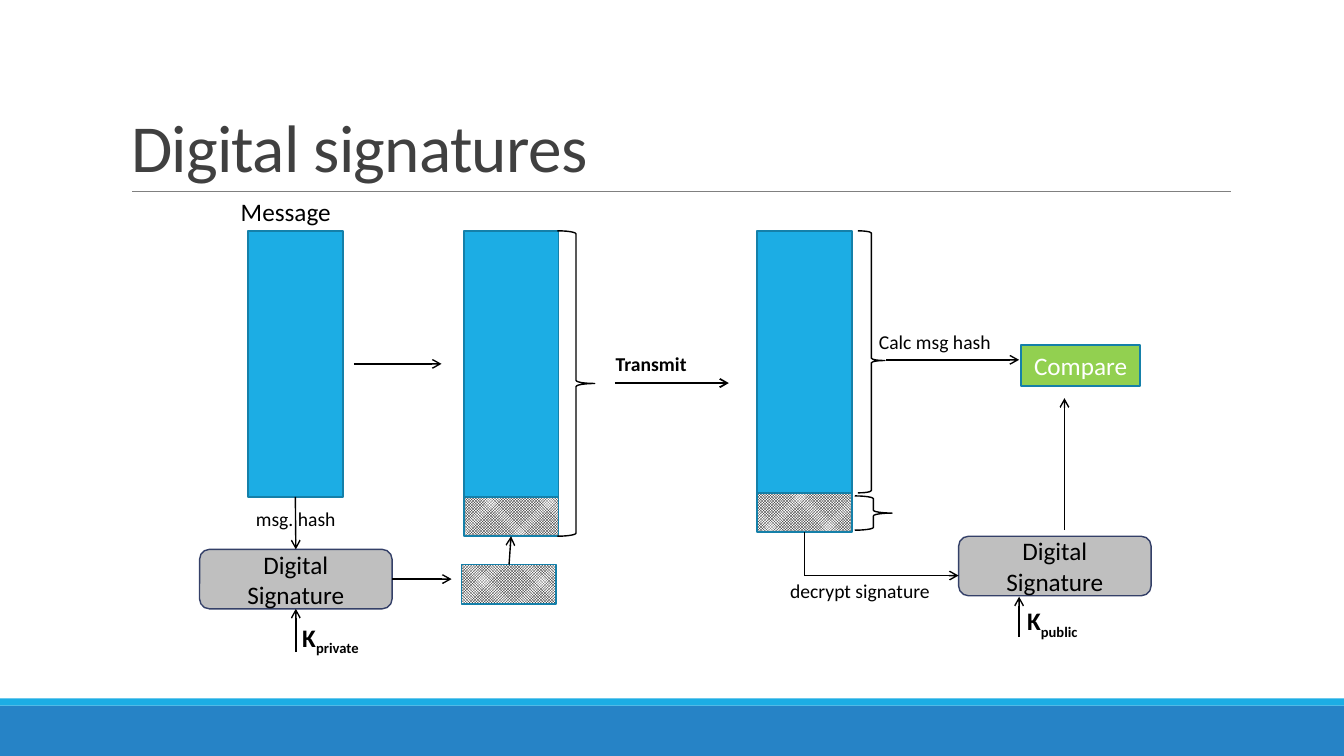
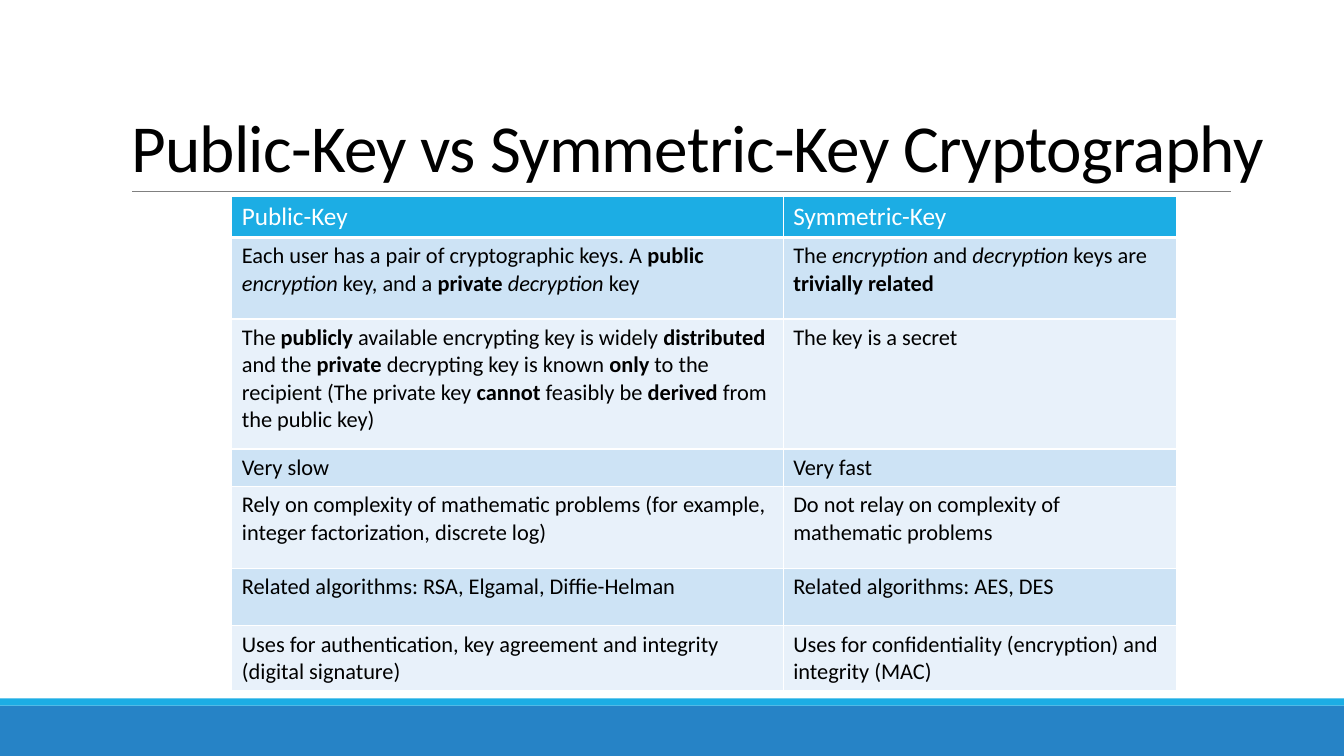
from dataclasses import dataclass

from lxml.etree import SubElement
from pptx import Presentation
from pptx.dml.color import RGBColor
from pptx.enum.dml import MSO_PATTERN
from pptx.enum.shapes import MSO_CONNECTOR, MSO_SHAPE
from pptx.enum.text import MSO_ANCHOR, MSO_AUTO_SIZE, PP_ALIGN
from pptx.oxml.ns import qn
from pptx.util import Emu, Inches, Pt

CELL = Inches(0.1)
WIDE, HIGH = 133.33, 75
FONT = "Calibri"
BLACK, WHITE, DARK, RULE = "000000", "FFFFFF", "404040", "808080"
SKY, BLUE, EDGE = "1CADE4", "2683C6", "1580A9"
GRAY, NAVY, GREEN = "BFBFBF", "344068", "92D050"
BANDS = ("CDE3F5", "E8F1FA")
CHECK = "check"
TOP, LEFT, BOTTOM, RIGHT = range(4)
RECT, ROUND, BRACE = (
    MSO_SHAPE.RECTANGLE,
    MSO_SHAPE.ROUNDED_RECTANGLE,
    MSO_SHAPE.RIGHT_BRACE,
)

Place = tuple[float, float, float, float]
End = tuple[float, float] | tuple[str, int]


@dataclass
class Box:
    name: str
    place: Place
    fill: str = SKY
    edge: str = EDGE
    width: float = 1.25
    kind: MSO_SHAPE = RECT
    text: str = ""
    ink: str = BLACK


@dataclass
class Brace:
    place: Place
    tip: float = 0.5


@dataclass
class Link:
    start: End
    stop: End
    width: float = 1
    arrow: bool = True


@dataclass
class Label:
    text: str
    place: Place
    size: float = 14
    bold: bool = False
    below: str = ""


STACK = 22.9
BOXES = [
    Box("message", (24.6, STACK, 9.4, 26.4)),
    Box("signer", (19.8, 54.5, 19.1, 5.9), GRAY, NAVY, 1, ROUND, "Digital\nSignature"),
    Box("signed", (46, STACK, 9.4, 26.4)),
    Box("added", (46, 49.3, 9.4, 3.9), CHECK),
    Box("made", (45.8, 56, 9.4, 3.9), CHECK),
    Box("got", (75.1, STACK, 9.4, 26.3)),
    Box("taken", (75.1, 48.9, 9.4, 3.9), CHECK),
    Box("checker", (95.1, 53.2, 19.1, 5.9), GRAY, NAVY, 1, ROUND, "Digital\nSignature"),
    Box("compare", (101.3, 34.2, 11.8, 4.1), GREEN, text="Compare", ink=WHITE),
]
BRACES = [
    Brace((55.3, STACK, 3.7, 30.3)),
    Brace((85.1, STACK, 2.7, 26), 0.495),
    Brace((84.8, 49.2, 3.7, 3.4)),
]
LINKS = [
    Link(("message", BOTTOM), ("signer", TOP)),
    Link((29.35, 64.7), ("signer", BOTTOM)),
    Link((35.1, 36.1), (43.8, 36.1)),
    Link(("signer", RIGHT), (44.8, 57.45)),
    Link(("made", TOP), ("added", BOTTOM)),
    Link((61, 38), (72.3, 38), 1.25),
    Link((87.9, 35.7), (101.1, 35.7)),
    Link(("taken", BOTTOM), (79.8, 57.1), arrow=False),
    Link((79.8, 57.1), (95.1, 57.1)),
    Link((101.1, 63.2), (101.1, 59.2)),
    Link((105.6, 52.6), (105.6, 39.5)),
]
LABELS = [
    Label("Message", (22.9, 19, 14.7, 4), 18),
    Label("K", (29, 61.2, 12.2, 4), 18, True, "private"),
    Label("K", (100.9, 59.6, 12.2, 4), 18, True, "public"),
    Label("Transmit", (60.1, 34.4, 12.3, 3.4), bold=True),
    Label("Calc msg hash", (86.2, 32.2, 15.2, 3.4)),
    Label("msg. hash", (24.4, 49.8, 12, 3.4)),
    Label("decrypt signature", (77.4, 56.9, 18, 3.4)),
]

COLS = (54.7, 39)
ROWS = (4, 8.1, 12.9, 3.7, 8.1, 5.7, 6.4)
CELLS = [
    ("Public-Key", "Symmetric-Key"),
    (
        "Each user has a pair of cryptographic keys. A *public* "
        "_encryption_ key, and a *private* _decryption_ key",
        "The _encryption_ and _decryption_ keys are *trivially related*",
    ),
    (
        "The *publicly* available encrypting key is widely *distributed* "
        "and the *private* decrypting key is known *only* to the recipient "
        "(The private key *cannot* feasibly be *derived* from the public key)",
        "The key is a secret",
    ),
    ("Very slow", "Very fast"),
    (
        "Rely on complexity of mathematic problems "
        "(for example, integer factorization, discrete log)",
        "Do not relay on complexity of mathematic problems",
    ),
    (
        "Related algorithms: RSA, Elgamal, Diffie-Helman",
        "Related algorithms: AES, DES",
    ),
    (
        "Uses for authentication, key agreement and integrity (digital signature)",
        "Uses for confidentiality (encryption) and integrity (MAC)",
    ),
]


def tint(code: str) -> RGBColor:
    return RGBColor.from_string(code)


def grid(*units: float) -> list[Emu]:
    return [Emu(round(unit * CELL)) for unit in units]


def style(para, size: float, ink: str, bold: bool = False) -> None:
    font = para.font
    font.name, font.size, font.bold = FONT, Pt(size), bold
    font.color.rgb = tint(ink)


def draw_box(slide, box: Box):
    shape = slide.shapes.add_shape(box.kind, *grid(*box.place))
    shape.shadow.inherit = False
    fill = shape.fill
    if box.fill == CHECK:
        fill.patterned()
        fill.pattern = MSO_PATTERN.SMALL_CHECKER_BOARD
        fill.fore_color.rgb = tint(BLACK)
        fill.back_color.rgb = tint(WHITE)
    else:
        fill.solid()
        fill.fore_color.rgb = tint(box.fill)
    if box.width:
        shape.line.color.rgb = tint(box.edge)
        shape.line.width = Pt(box.width)
    else:
        shape.line.fill.background()
    if box.text:
        frame = shape.text_frame
        frame.text = box.text
        frame.word_wrap = True
        frame.vertical_anchor = MSO_ANCHOR.MIDDLE
        for para in frame.paragraphs:
            para.alignment = PP_ALIGN.CENTER
            style(para, 18, box.ink)
    return shape


def draw_brace(slide, brace: Brace) -> None:
    shape = slide.shapes.add_shape(BRACE, *grid(*brace.place))
    shape.shadow.inherit = False
    shape.fill.background()
    shape.line.color.rgb = tint(BLACK)
    shape.line.width = Pt(1)
    shape.adjustments[1] = brace.tip


def draw_link(slide, link: Link, nodes: dict, ink: str = BLACK) -> None:
    spots = [(0, 0) if isinstance(end[0], str) else end for end in (link.start, link.stop)]
    line = slide.shapes.add_connector(
        MSO_CONNECTOR.STRAIGHT, *grid(*spots[0], *spots[1])
    )
    for end, join in ((link.start, line.begin_connect), (link.stop, line.end_connect)):
        if isinstance(end[0], str):
            join(nodes[end[0]], end[1])
    line.line.color.rgb = tint(ink)
    line.line.width = Pt(link.width)
    props = line._element.spPr
    if link.arrow:
        SubElement(props.find(qn("a:ln")), qn("a:tailEnd"), type="arrow")
    SubElement(props, qn("a:effectLst"))


def draw_label(slide, label: Label) -> None:
    frame = slide.shapes.add_textbox(*grid(*label.place)).text_frame
    frame.word_wrap = True
    para = frame.paragraphs[0]
    style(para, label.size, BLACK, label.bold)
    para.add_run().text = label.text
    if label.below:
        run = para.add_run()
        run.text = label.below
        run.font._element.set("baseline", "-25000")


def add_slide(deck, title: str, ink: str, wide: float):
    slide = deck.slides.add_slide(deck.slide_layouts[5])
    draw_box(slide, Box("base", (0, 70, WIDE, 5), BLUE, width=0))
    draw_box(slide, Box("strip", (0, 69.3, WIDE, 0.7), SKY, width=0))
    draw_link(slide, Link((13.1, 19), (122.1, 19), 0.5, False), {}, RULE)
    head = slide.shapes.title
    head.left, head.top, head.width, head.height = grid(12, 3.1, wide, 15.9)
    frame = head.text_frame
    frame.text = title
    frame.word_wrap = True
    frame.auto_size = MSO_AUTO_SIZE.NONE
    frame.vertical_anchor = MSO_ANCHOR.BOTTOM
    para = frame.paragraphs[0]
    para.alignment = PP_ALIGN.LEFT
    para.line_spacing = 0.85
    style(para, 48, ink)
    para.font._element.set("spc", "-50")
    return slide


def write_rich(para, text: str) -> None:
    for spot, part in enumerate(text.split("*")):
        for turn, piece in enumerate(part.split("_")):
            if piece:
                run = para.add_run()
                run.text = piece
                if spot % 2:
                    run.font.bold = True
                if turn % 2:
                    run.font.italic = True


def rule_cell(cell, width: float) -> None:
    props = cell._tc.get_or_add_tcPr()
    for side in ("lnL", "lnR", "lnT", "lnB"):
        thick = width if side == "lnB" else 1
        edge = SubElement(props, qn(f"a:{side}"), w=str(Pt(thick)))
        SubElement(SubElement(edge, qn("a:solidFill")), qn("a:srgbClr"), val=WHITE)


def draw_table(slide) -> None:
    place = grid(23, 19.5, sum(COLS), sum(ROWS))
    table = slide.shapes.add_table(len(ROWS), len(COLS), *place).table
    table.first_row = table.horz_banding = False
    for col, wide in zip(table.columns, grid(*COLS)):
        col.width = wide
    for index, (row, high) in enumerate(zip(table.rows, grid(*ROWS))):
        row.height = high
        first = index == 0
        for cell, text in zip(row.cells, CELLS[index]):
            rule_cell(cell, 3 if first else 1)
            cell.fill.solid()
            cell.fill.fore_color.rgb = tint(SKY if first else BANDS[(index - 1) % 2])
            para = cell.text_frame.paragraphs[0]
            style(para, 18 if first else 16, WHITE if first else BLACK)
            write_rich(para, text)


def main() -> None:
    deck = Presentation()
    deck.slide_width, deck.slide_height = grid(WIDE, HIGH)
    flow = add_slide(deck, "Digital signatures", DARK, 110)
    nodes = {box.name: draw_box(flow, box) for box in BOXES}
    for brace in BRACES:
        draw_brace(flow, brace)
    for link in LINKS:
        draw_link(flow, link, nodes)
    for label in LABELS:
        draw_label(flow, label)
    draw_table(add_slide(deck, "Public-Key vs Symmetric-Key Cryptography", BLACK, 115.7))
    deck.save("out.pptx")


if __name__ == "__main__":
    main()
